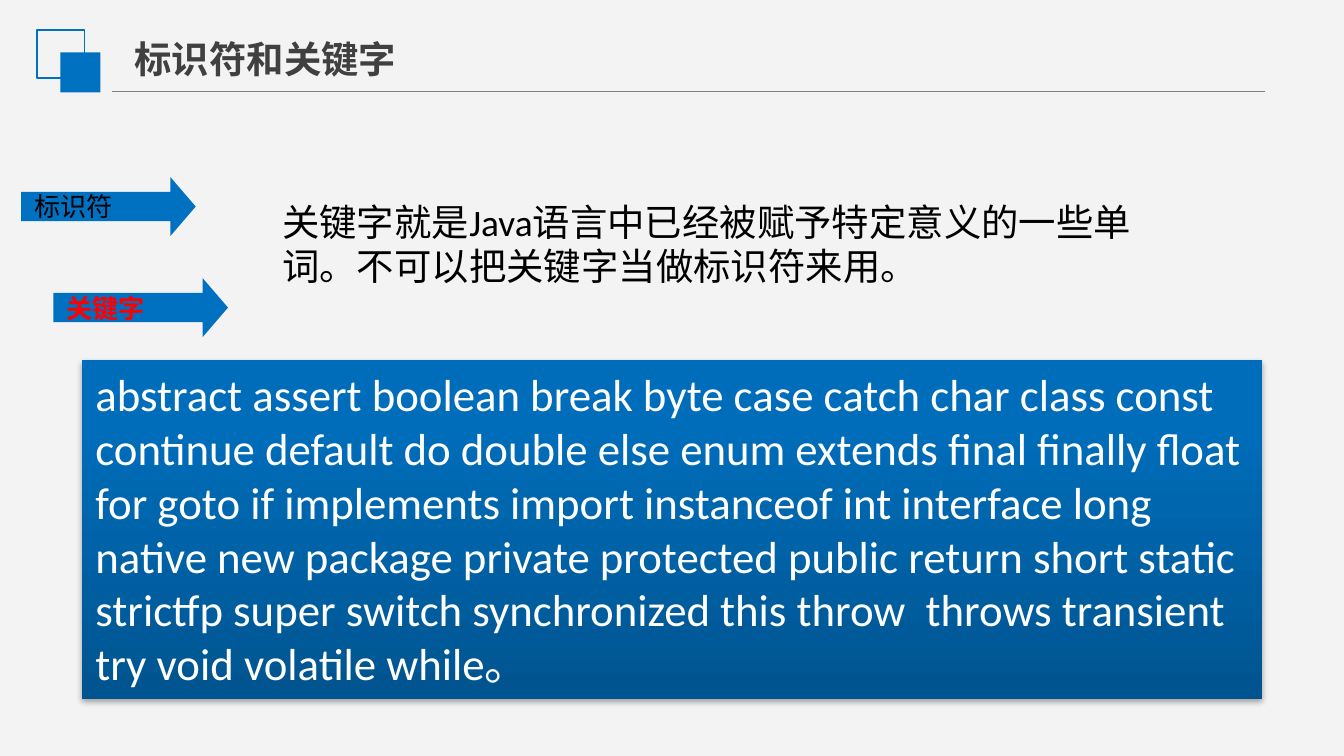
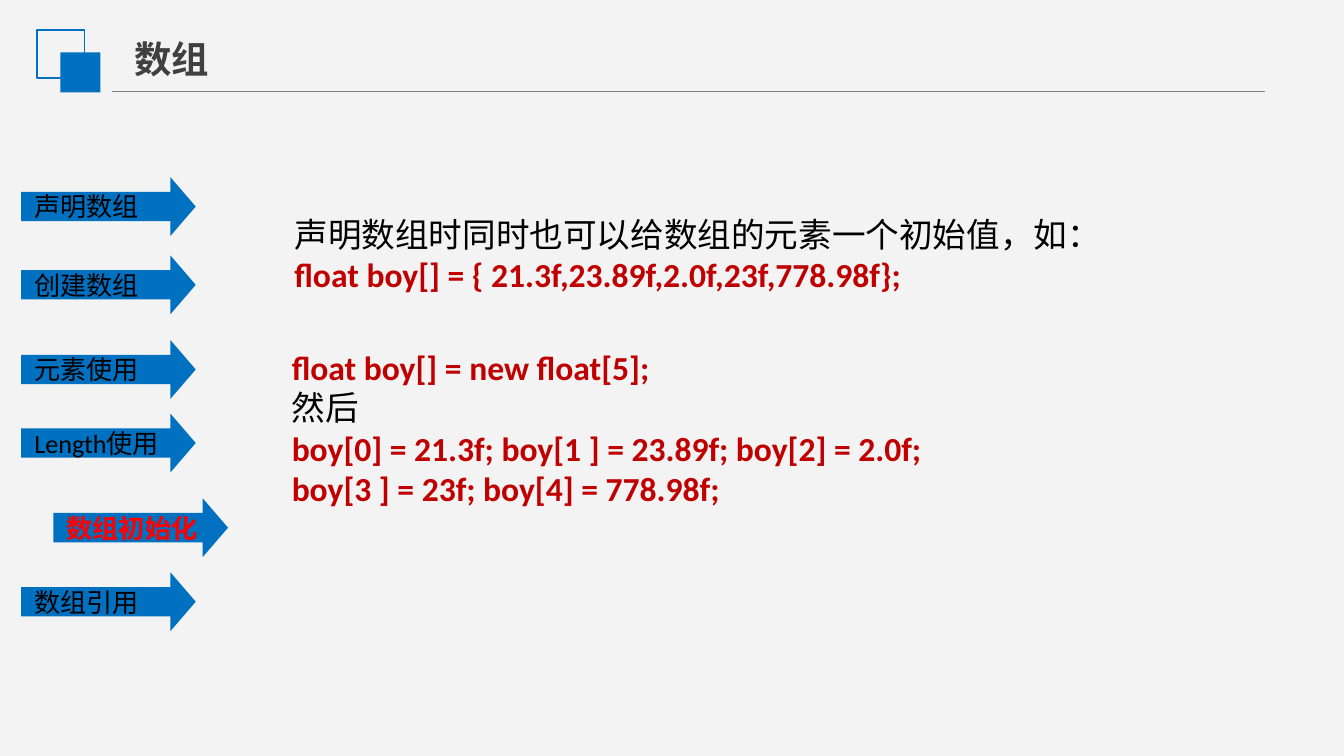
"""Build two Java lesson slides: keywords and array initialisation."""
from dataclasses import dataclass

from lxml.etree import SubElement
from pptx import Presentation
from pptx.dml.color import RGBColor
from pptx.enum.shapes import MSO_CONNECTOR, MSO_SHAPE
from pptx.enum.text import MSO_ANCHOR, MSO_AUTO_SIZE, PP_ALIGN
from pptx.oxml.ns import qn
from pptx.util import Cm, Pt


@dataclass(frozen=True)
class Theme:
    page: str = "F3F3F3"
    blue: str = "0070C0"
    rule: str = "808080"
    title: str = "404040"
    text: str = "000000"
    active: str = "FF0000"
    code: str = "C00000"
    white: str = "FFFFFF"
    deep: str = "00548F"
    bright: str = "006DBA"
    latin: str = "Calibri"
    cjk: str = "Noto Sans CJK SC"
    title_size: int = 20
    nav_size: int = 14
    lead_size: int = 20
    code_size: int = 18
    keyword_size: int = 24


T = Theme()


def rgb(value):
    return RGBColor.from_string(value)


def write(sp, paragraphs, size, font=T.latin):
    tf = sp.text_frame
    tf.text = "\n".join(text for text, _, _ in paragraphs)
    tf.word_wrap = True
    tf.auto_size = MSO_AUTO_SIZE.NONE
    for p, (_, color, bold) in zip(tf.paragraphs, paragraphs):
        p.alignment = PP_ALIGN.LEFT
        p.space_before = Pt(0)
        pPr = p._p.get_or_add_pPr()
        pPr.set("marL", "0")
        pPr.set("indent", "0")
        SubElement(pPr, qn("a:buNone"))
        for r in p.runs:
            r.font.size = Pt(size)
            r.font.bold = bold
            r.font.color.rgb = rgb(color)
            r.font.name = font
            SubElement(r._r.get_or_add_rPr(), qn("a:ea"), typeface=T.cjk)


KEYWORDS = (
    "abstract assert boolean break byte case catch char class const continue "
    "default do double else enum extends final finally float for goto if "
    "implements import instanceof int interface long native new package private "
    "protected public return short static strictfp super switch synchronized "
    "this throw  throws transient try void volatile while。"
)

SLIDES = [
    {
        "title": "标识符和关键字",
        "title_width": 5.51,
        "active": "关键字",
        "nav": [("标识符", 3.35), ("关键字", 5.26)],
        "bodies": [
            ((5.08, 3.63, 16.61, 1.96), T.lead_size, [
                ("关键字就是Java语言中已经被赋予特定意义的一些单词。不可以把关键字当做标识符来用。", T.text, False),
            ]),
            ((1.55, 6.81, 22.3, 6.4), T.keyword_size, [(KEYWORDS, T.white, False)]),
        ],
    },
    {
        "title": "数组",
        "title_width": 1.93,
        "active": "数组初始化",
        "nav": [("声明数组", 3.35), ("创建数组", 4.83), ("元素使用", 6.43),
                ("Length使用", 7.82), ("数组初始化", 9.42), ("数组引用", 10.82)],
        "bodies": [
            ((5.31, 3.91, 16.41, 1.8), T.code_size, [
                ("声明数组时同时也可以给数组的元素一个初始值，如：", T.text, False),
                ("float boy[] = { 21.3f,23.89f,2.0f,23f,778.98f};", T.code, True),
            ]),
            ((5.26, 6.43, 12.85, 3.33), T.code_size, [
                ("float boy[] = new float[5];", T.code, True),
                ("然后", T.text, False),
                ("boy[0] = 21.3f; boy[1 ] = 23.89f; boy[2] = 2.0f;", T.code, True),
                ("boy[3 ] = 23f; boy[4] = 778.98f;", T.code, True),
            ]),
        ],
    },
]

prs = Presentation()
prs.slide_width, prs.slide_height = Cm(25.4), Cm(14.29)
master = prs.slide_master
master.background.fill.solid()
master.background.fill.fore_color.rgb = rgb(T.page)
layout = prs.slide_layouts.get_by_name("Two Content")

for content in SLIDES:
    slide = prs.slides.add_slide(layout)
    title = slide.shapes.title
    title.left, title.top = Cm(2.29), Cm(0.56)
    title.width, title.height = Cm(content["title_width"]), Cm(1.12)
    write(title, [(content["title"], T.title, True)], T.title_size, T.cjk)
    title.text_frame.word_wrap = False
    title.text_frame.vertical_anchor = MSO_ANCHOR.TOP

    for label, top in content["nav"]:
        active = label == content["active"]
        arrow = slide.shapes.add_shape(
            MSO_SHAPE.RIGHT_ARROW, Cm(1.01 if active else 0.4), Cm(top), Cm(3.3), Cm(1.11))
        arrow.adjustments[1] = 0.43
        arrow.shadow.inherit = False
        arrow.fill.solid()
        arrow.fill.fore_color.rgb = rgb(T.blue)
        arrow.line.fill.background()
        write(arrow, [(label, T.active if active else T.text, active)], T.nav_size)
        arrow.text_frame.vertical_anchor = MSO_ANCHOR.MIDDLE

    for idx, (box, size, paragraphs) in enumerate(content["bodies"], 1):
        body = slide.placeholders[idx]
        body.left, body.top, body.width, body.height = map(Cm, box)
        write(body, paragraphs, size)

panel = prs.slides[0].placeholders[2]
panel.fill.gradient()
panel.fill.gradient_angle = 90
for stop, position, color in zip(panel.fill.gradient_stops, (0, 0.8), (T.deep, T.bright)):
    stop.position = position
    stop.color.rgb = rgb(color)
effects = SubElement(panel.element.spPr, qn("a:effectLst"))
shadow = SubElement(effects, qn("a:outerShdw"), blurRad=str(Pt(3.1)),
                    dist=str(Pt(1.8)), dir="5400000", rotWithShape="0")
black = SubElement(shadow, qn("a:srgbClr"), val=T.text)
SubElement(black, qn("a:alpha"), val="35000")

shapes = prs.slides[0].shapes
rule = shapes.add_connector(MSO_CONNECTOR.STRAIGHT, Cm(2.11), Cm(1.73), Cm(23.9), Cm(1.73))
rule.line.color.rgb = rgb(T.rule)
rule.line.width = Pt(0.75)
SubElement(rule.element.spPr, qn("a:effectLst"))

emblem = shapes.add_group_shape()
for left, top, side, filled in ((0.7, 0.57, 0.9, False), (1.14, 0.99, 0.76, True)):
    square = emblem.shapes.add_shape(MSO_SHAPE.RECTANGLE, Cm(left), Cm(top), Cm(side), Cm(side))
    square.shadow.inherit = False
    if filled:
        square.fill.solid()
        square.fill.fore_color.rgb = rgb(T.blue)
        square.line.fill.background()
    else:
        square.fill.background()
        square.line.color.rgb = rgb(T.blue)
        square.line.width = Pt(1)

for sp in (rule, emblem):
    master.shapes.element.append(sp.element)
for number, props in enumerate(master.shapes.element.xpath(".//p:cNvPr"), 1):
    props.set("id", str(number))

prs.save("out.pptx")
